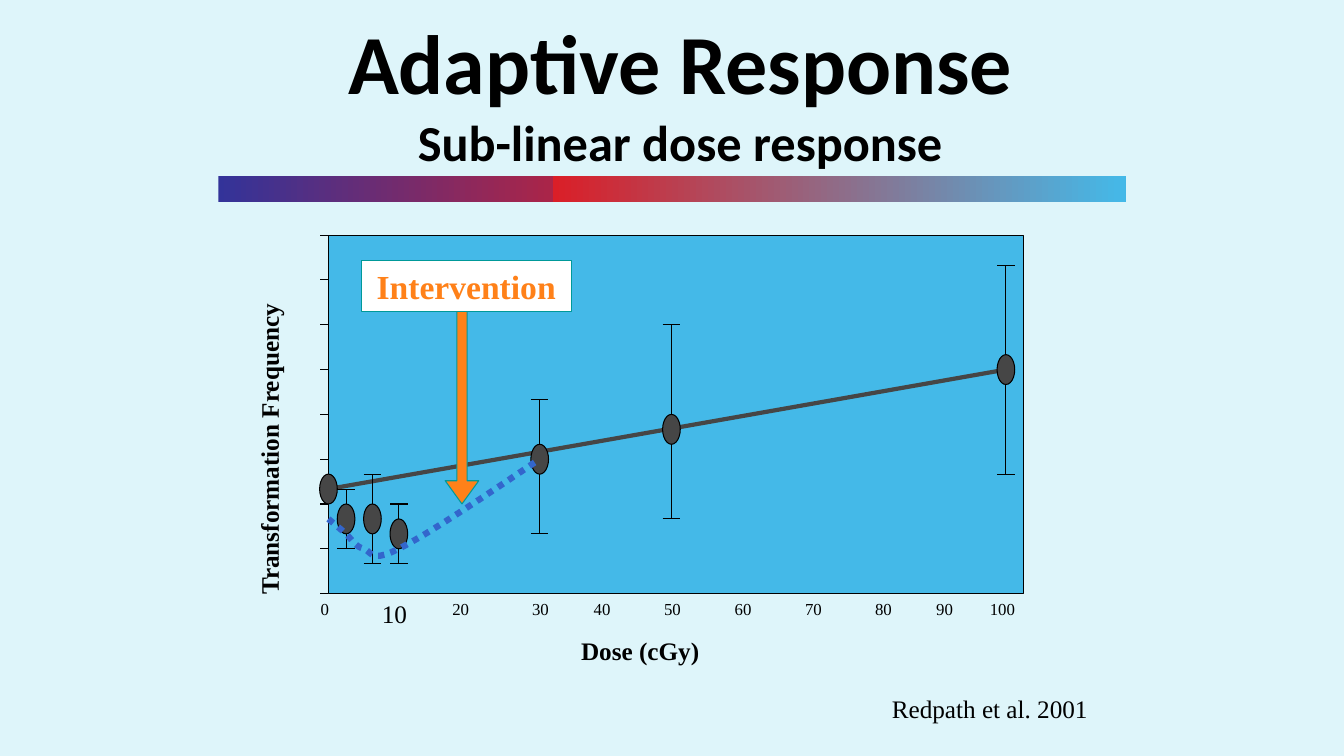
"""Builds the slide on adaptive response with its dose-response graph."""
from lxml.etree import SubElement
from pptx import Presentation
from pptx.dml.color import RGBColor
from pptx.enum.dml import MSO_LINE
from pptx.enum.shapes import MSO_CONNECTOR, MSO_SHAPE
from pptx.enum.text import MSO_ANCHOR as ANCHOR, MSO_AUTO_SIZE as AUTO_SIZE, PP_ALIGN as ALIGN
from pptx.oxml.ns import qn
from pptx.util import Pt

colour = RGBColor.from_string
SERIF = "Times New Roman"
BLACK, GREY, SKY, ORANGE, TEAL, RED = "000000", "464646", "44B9E8", "FF8119", "009999", "DA1F28"

deck = Presentation()
deck.slide_width, deck.slide_height = Pt(960), Pt(540)
slide = deck.slides.add_slide(deck.slide_layouts[5])
slide.background.fill.solid()
slide.background.fill.fore_color.rgb = colour("DEF5FA")
shapes = slide.shapes


def draw_line(x1, y1, x2, y2, hex_colour=BLACK, width=0.75):
    line = shapes.add_connector(MSO_CONNECTOR.STRAIGHT, Pt(x1), Pt(y1), Pt(x2), Pt(y2))
    line.line.color.rgb = colour(hex_colour)
    line.line.width = Pt(width)
    SubElement(line._element.spPr, qn("a:effectLst"))


def draw_shape(kind, left, top, width, height, fill, outline=BLACK):
    shape = shapes.add_shape(kind, Pt(left), Pt(top), Pt(width), Pt(height))
    shape.shadow.inherit = False
    shape.fill.solid()
    shape.fill.fore_color.rgb = colour(fill)
    shape.line.color.rgb = colour(outline)
    shape.line.width = Pt(0.75)
    return shape


heading = shapes.title
heading.left, heading.top, heading.width, heading.height = Pt(180), Pt(42), Pt(612), Pt(90)
heading_frame = heading.text_frame
heading_frame.auto_size = AUTO_SIZE.NONE
heading_frame.word_wrap = True
heading_frame.vertical_anchor = ANCHOR.MIDDLE
heading_frame.margin_bottom = Pt(47.5)
heading_text = heading_frame.paragraphs[0]
heading_text.alignment = ALIGN.CENTER
heading_text.font.name = "Calibri"
heading_text.font.bold = True
heading_text.font.color.rgb = colour(BLACK)
main_title = heading_text.add_run()
main_title.text = "Adaptive Response"
main_title.font.size = Pt(60)
heading_text.add_line_break()
subtitle = heading_text.add_run()
subtitle.text = "Sub-linear dose response"
subtitle.font.size = Pt(36)

for left, width, start, end in [(156, 333, "333399", RED), (395, 409, RED, SKY)]:
    band = draw_shape(MSO_SHAPE.RECTANGLE, left, 126, width, 18, start)
    band.line.fill.background()
    band.fill.gradient()
    band.fill.gradient_angle = 0
    for stop, stop_colour in zip(band.fill.gradient_stops, (start, end)):
        stop.color.rgb = colour(stop_colour)

PLOT_LEFT, PLOT_TOP, PLOT_WIDTH, PLOT_HEIGHT = 234.6, 168, 496.2, 256
AXIS_Y = PLOT_TOP + PLOT_HEIGHT
LEVELS = 24
LEVEL = PLOT_HEIGHT / LEVELS
draw_shape(MSO_SHAPE.RECTANGLE, PLOT_LEFT, PLOT_TOP, PLOT_WIDTH, PLOT_HEIGHT, SKY)
for level in range(0, LEVELS + 1, 3):
    tick_y = AXIS_Y - level * LEVEL
    draw_line(PLOT_LEFT, tick_y, PLOT_LEFT - 6.3, tick_y)

observations = [
    (PLOT_LEFT, 7, None), (247.2, 5, (3, 7)), (266, 5, (2, 8)), (284.9, 4, (2, 6)),
    (385.5, 9, (4, 13)), (479.6, 11, (5, 18)), (718.5, 15, (8, 22)),
]
draw_line(PLOT_LEFT, AXIS_Y - 7 * LEVEL, 718.5, AXIS_Y - 15 * LEVEL, GREY, 3)
for x, level, error in observations:
    if error:
        low, high = [AXIS_Y - bound * LEVEL for bound in error]
        draw_line(x, high, x, low)
        for cap_y in (low, high):
            draw_line(x - 6.3, cap_y, x + 6.3, cap_y)
    draw_shape(MSO_SHAPE.OVAL, x - 6.3, AXIS_Y - (level + 1) * LEVEL, 12.6, 2 * LEVEL, GREY)

curve_start = (PLOT_LEFT, 370.7)
curve_segments = [
    ((239, 374.4), (243.4, 378), (247.2, 381.4)),
    ((251.3, 385.2), (253.4, 390.2), (259.8, 392)),
    ((265.7, 393.8), (264.2, 402.5), (285, 392)),
    ((306, 381.4), (345.6, 355), (385.4, 328)),
]
STEPS = 10
curve_points = []
here = curve_start
for bend_1, bend_2, there in curve_segments:
    for step in range(1, STEPS + 1):
        t = step / STEPS
        weights = ((1 - t) ** 3, 3 * t * (1 - t) ** 2, 3 * t ** 2 * (1 - t), t ** 3)
        corners = (here, bend_1, bend_2, there)
        curve_points.append([Pt(sum(w * c[axis] for w, c in zip(weights, corners))) for axis in (0, 1)])
    here = there
builder = shapes.build_freeform(Pt(curve_start[0]), Pt(curve_start[1]))
builder.add_line_segments(curve_points, close=False)
adaptive_curve = builder.convert_to_shape()
adaptive_curve.shadow.inherit = False
adaptive_curve.fill.background()
adaptive_curve.line.color.rgb = colour("3366CC")
adaptive_curve.line.width = Pt(4.5)
adaptive_curve.line.dash_style = MSO_LINE.ROUND_DOT

arrow = draw_shape(MSO_SHAPE.DOWN_ARROW, 318, 222, 24, 138, ORANGE, TEAL)
arrow.adjustments[0], arrow.adjustments[1] = 0.31, 0.69
intervention = draw_shape(MSO_SHAPE.RECTANGLE, 258, 186, 150, 36.4, "FFFFFF", TEAL)
intervention.text_frame.text = "Intervention"
intervention_text = intervention.text_frame.paragraphs[0]
intervention_text.alignment = ALIGN.CENTER
intervention_text.font.name = SERIF
intervention_text.font.size = Pt(24)
intervention_text.font.bold = True
intervention_text.font.color.rgb = colour(ORANGE)

dose_lefts = [222, 265.7, 316, 373, 417, 467.3, 517.7, 568, 618, 661.7, 700]
labels = [
    (str(10 * index), left, AXIS_Y, 50, 21.6, 18 if index == 1 else 12, False)
    for index, left in enumerate(dose_lefts)
]
labels += [
    ("Dose (cGy)", 408, 450, 150, 29, 18, True),
    ("Transformation Frequency", 170, 204, 44, 228, 18, True),
    ("Redpath et al. 2001", 630, 492, 180, 29, 18, False),
]
for words, left, top, width, height, size, bold in labels:
    label_frame = shapes.add_textbox(Pt(left), Pt(top), Pt(width), Pt(height)).text_frame
    label_frame.word_wrap = True
    label_frame.text = words
    label_text = label_frame.paragraphs[0]
    label_text.font.name = SERIF
    label_text.font.size = Pt(size)
    label_text.font.bold = bold
    label_text.font.color.rgb = colour(BLACK)
    if height > width:
        label_frame.vertical_anchor = ANCHOR.MIDDLE
        label_frame._txBody.bodyPr.set("vert", "vert270")

deck.save("out.pptx")
